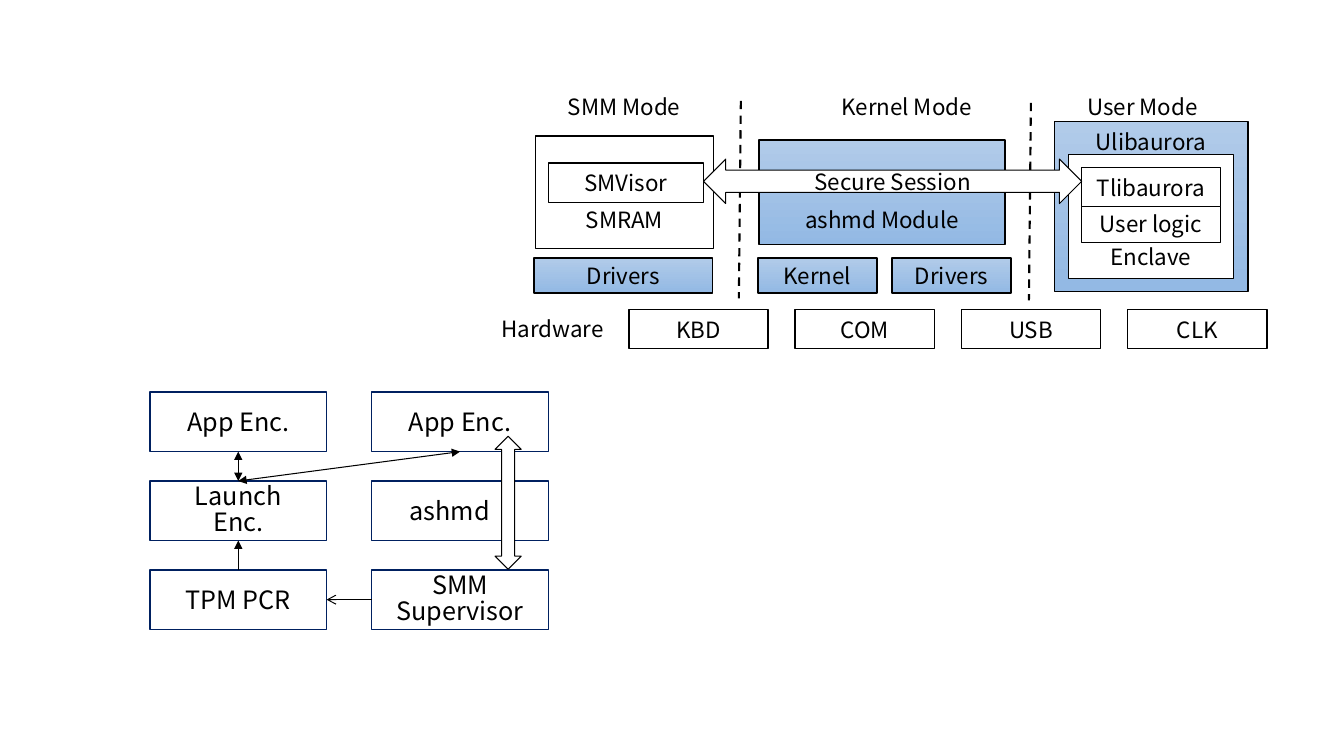
from lxml import etree
from pptx import Presentation
from pptx.dml.color import RGBColor
from pptx.enum.dml import MSO_LINE
from pptx.enum.shapes import MSO_CONNECTOR, MSO_SHAPE
from pptx.enum.text import MSO_ANCHOR, PP_ALIGN
from pptx.oxml.ns import qn
from pptx.util import Cm, Pt

RECT = MSO_SHAPE.RECTANGLE
ARROW = MSO_SHAPE.LEFT_RIGHT_ARROW
LINE = MSO_CONNECTOR.STRAIGHT
DASH = MSO_LINE.DASH
MIDDLE, TOP = MSO_ANCHOR.MIDDLE, MSO_ANCHOR.TOP
LEFT, CENTER = PP_ALIGN.LEFT, PP_ALIGN.CENTER
FONT = "Noto Sans CJK SC"
BLACK, WHITE, NAVY = "000000", "FFFFFF", "002060"
BLUES = ("B1CBE9", "93B9E4")


def color(code):
    """Turn a hex string into a colour."""
    return RGBColor.from_string(code)


def write(shape, text, size=16, align=CENTER, anchor=MIDDLE, shift=0,
          indent=0.25, pitch=None):
    """Write text in a shape; shift moves it down (or up) from the middle."""
    frame = shape.text_frame
    frame.word_wrap = True
    frame.vertical_anchor = anchor
    frame.margin_left, frame.margin_right = Cm(indent), Cm(0.25)
    frame.margin_top = Cm(0.13 + max(0, 2 * shift))
    frame.margin_bottom = Cm(0.13 + max(0, -2 * shift))
    for i, words in enumerate(text.split("\n")):
        para = frame.add_paragraph() if i else frame.paragraphs[0]
        para.alignment = align
        para.line_spacing = pitch
        run = para.add_run()
        run.text = words
        run.font.name, run.font.size = FONT, Pt(size)
        run.font.color.rgb = color(BLACK)
        east = etree.SubElement(run.font._element, qn("a:ea"))
        east.set("typeface", FONT)


def box(slide, x, y, w, h, text="", kind=RECT, blue=False, edge=BLACK,
        width=1, **style):
    """Add an outlined shape, white or with the blue gradient."""
    shape = slide.shapes.add_shape(kind, Cm(x), Cm(y), Cm(w), Cm(h))
    shape.shadow.inherit = False
    if blue:
        shape.fill.gradient()
        shape.fill.gradient_angle = 270
        for stop, code in zip(shape.fill.gradient_stops, BLUES):
            stop.color.rgb = color(code)
    else:
        shape.fill.solid()
        shape.fill.fore_color.rgb = color(WHITE)
    shape.line.color.rgb = color(edge)
    shape.line.width = Pt(width)
    if text:
        write(shape, text, **style)
    return shape


def label(slide, x, y, text):
    """Add a caption without outline."""
    area = slide.shapes.add_textbox(Cm(x), Cm(y), Cm(4.24), Cm(0.94))
    write(area, text, anchor=TOP)


def link(slide, start, end, width=0.75, dash=None, head=None, tail=None):
    """Join two points; head and tail name the arrowheads."""
    ends = [Cm(v) for v in (*start, *end)]
    line = slide.shapes.add_connector(LINE, *ends)
    line.line.color.rgb = color(BLACK)
    line.line.width = Pt(width)
    if dash:
        line.line.dash_style = dash
    stroke = line.line._get_or_add_ln()
    for tag, kind in (("a:headEnd", head), ("a:tailEnd", tail)):
        if kind:
            etree.SubElement(stroke, qn(tag)).set("type", kind)
    etree.SubElement(line._element.spPr, qn("a:effectLst"))


def devices(slide, x, y):
    """Draw the hardware row."""
    label(slide, x, y, "Hardware")
    for i, name in enumerate(("KBD", "COM", "USB", "CLK")):
        box(slide, x + 4.04 + 4.19 * i, y, 3.51, 0.99, name)


def smm(slide, x, y):
    """Draw the SMM mode column."""
    label(slide, x + 0.15, y, "SMM Mode")
    box(slide, x, y + 4.29, 4.5, 0.89, "Drivers", blue=True)
    box(slide, x + 0.03, y + 1.22, 4.5, 2.84, "SMRAM", shift=0.69)
    box(slide, x + 0.36, y + 1.9, 3.91, 0.99, "SMVisor")


def kernel(slide, x, y):
    """Draw the kernel mode column."""
    label(slide, x + 1.63, y, "Kernel Mode")
    for i, name in enumerate(("Kernel", "Drivers")):
        box(slide, x + 3.38 * i, y + 4.29, 3, 0.89, name, blue=True)
    box(slide, x + 0.03, y + 1.32, 6.2, 2.64, "ashmd Module", blue=True,
        shift=0.69)


def user(slide, x, y):
    """Draw the user mode column."""
    label(slide, x + 0.1, y, "User Mode")
    box(slide, x, y + 0.86, 4.88, 4.27, "Ulibaurora", blue=True, shift=-1.65)
    box(slide, x + 0.35, y + 1.68, 4.17, 3.12, "Enclave", width=0.75,
        shift=1.02)
    for top, name in ((2.92, "User logic"), (2.01, "Tlibaurora")):
        box(slide, x + 0.68, y + top, 3.51, 0.99, name)


def modes(slide, x, y):
    """Draw the three mode columns, their dividers and the session."""
    smm(slide, x, y)
    kernel(slide, x + 5.64, y)
    user(slide, x + 13.11, y)
    for left, top in ((5.21, 0.33), (12.52, 0.38)):
        link(slide, (x + left, y + top), (x + left - 0.05, y + top + 4.98),
             width=1.5, dash=DASH)
    box(slide, x + 4.27, y + 1.8, 9.53, 1.12, "Secure Session", kind=ARROW,
        width=0.75)


def chain(slide, x, y):
    """Draw the grid of enclave launch steps with its arrows."""
    wide, high, across, down = 4.45, 1.5, 5.59, 2.24
    rows = (("App Enc.", "App Enc."), ("Launch\nEnc.", "ashmd"),
            ("TPM PCR", "SMM\nSupervisor"))
    for r, row in enumerate(rows):
        for c, name in enumerate(row):
            style = {"align": LEFT, "indent": 0.95} if name == "ashmd" else {}
            box(slide, x + across * c, y + down * r, wide, high, name,
                edge=NAVY, size=18, pitch=0.85 if "\n" in name else None,
                **style)
    mid = x + wide / 2
    launch = (mid, y + down)
    for app in (mid, mid + across):
        link(slide, launch, (app, y + high), head="triangle", tail="triangle")
    link(slide, (mid, y + down + high), (mid, y + 2 * down), head="triangle")
    level = y + 2 * down + high / 2
    link(slide, (x + across, level), (x + wide, level), tail="arrow")
    span = box(slide, x + 7.35, y + 2.46, 3.35, 0.66, kind=ARROW, width=0.75)
    span.rotation = 90


def main():
    """Build the slide and save it."""
    deck = Presentation()
    deck.slide_width, deck.slide_height = Cm(33.87), Cm(19.05)
    slide = deck.slides.add_slide(deck.slide_layouts[6])
    devices(slide, 11.81, 7.8)
    modes(slide, 13.46, 2.21)
    chain(slide, 3.78, 9.88)
    deck.save("out.pptx")


main()
